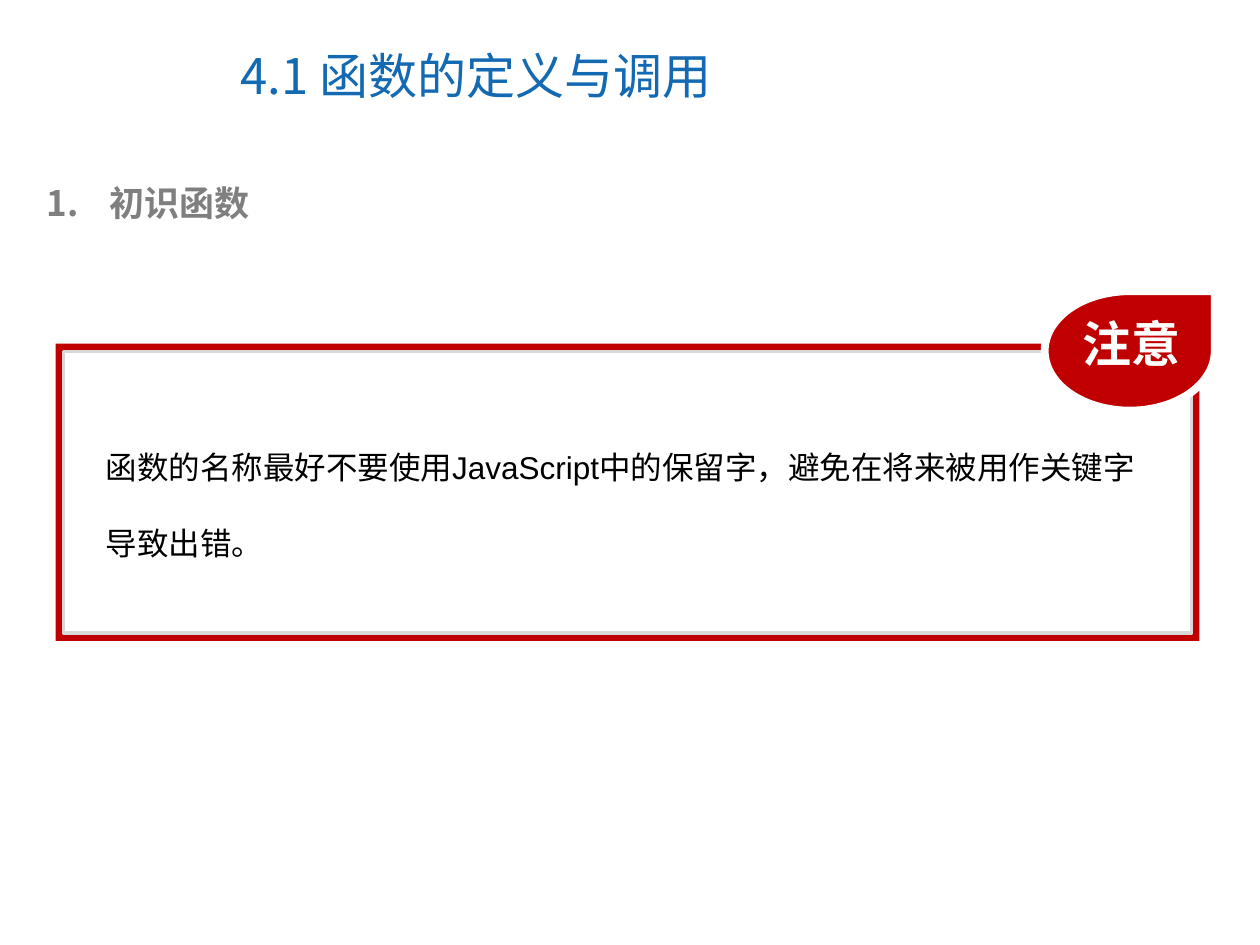
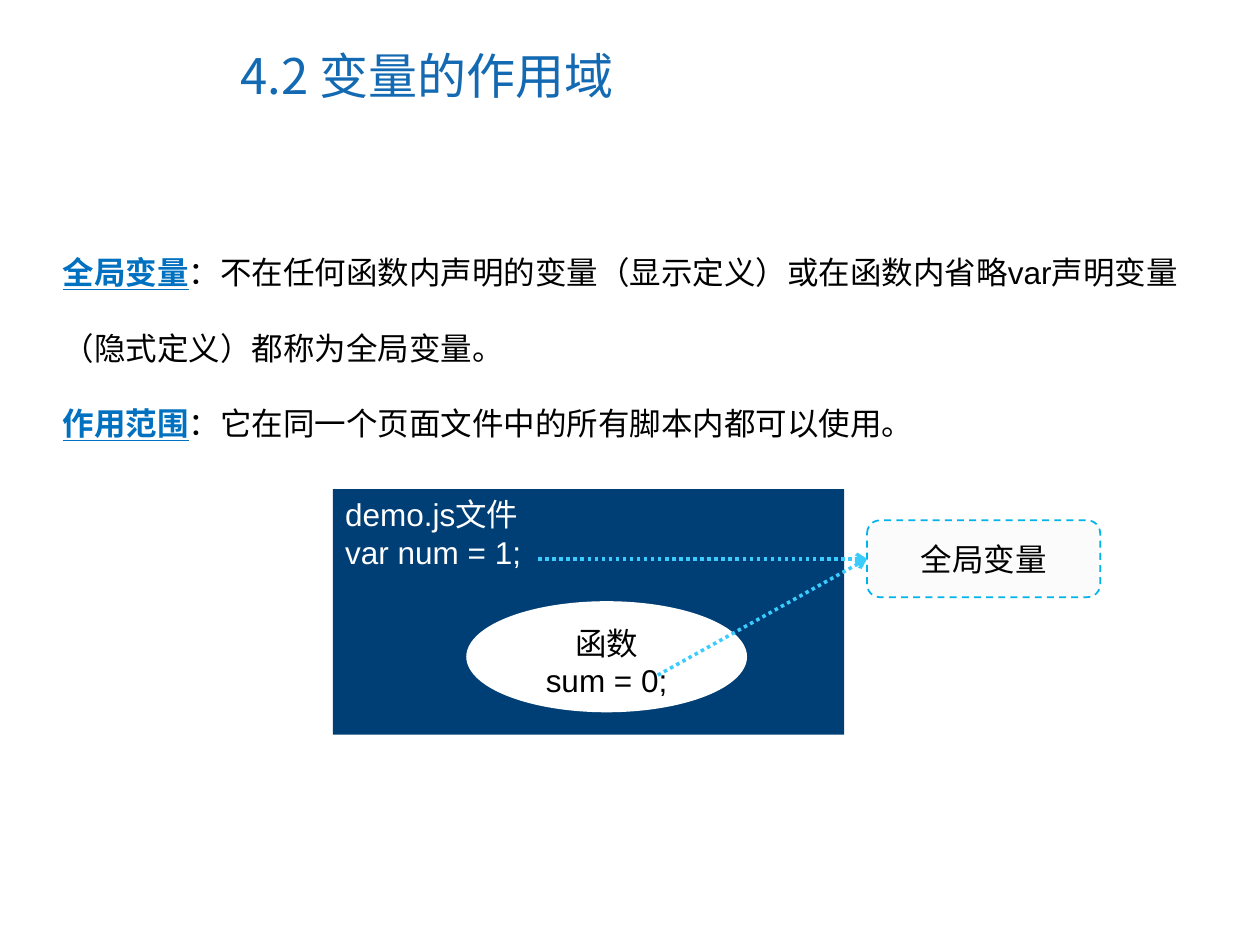
from dataclasses import dataclass
from typing import NamedTuple, Optional

from lxml.etree import SubElement
from pptx import Presentation
from pptx.dml.color import RGBColor
from pptx.enum.dml import MSO_LINE_DASH_STYLE as Dash
from pptx.enum.shapes import MSO_CONNECTOR_TYPE as Connector, MSO_SHAPE as Preset
from pptx.enum.text import MSO_ANCHOR as Anchor, MSO_AUTO_SIZE as AutoSize, PP_ALIGN as Align
from pptx.oxml.ns import qn
from pptx.util import Cm, Pt


@dataclass(frozen=True)
class Theme:
    title: str = "1369B2"
    heading: str = "7F7F7F"
    term: str = "0070C0"
    text: str = "000000"
    white: str = "FFFFFF"
    warning: str = "C00000"
    frame_line: str = "D9D9D9"
    file: str = "003F75"
    tag: str = "FBFBFB"
    tag_line: str = "00B4E9"
    arrow: str = "3BCCFF"
    title_size: int = 28
    heading_size: int = 20
    body_size: int = 18
    latin: str = "Arial"
    chinese: str = "Noto Sans CJK SC"


THEME = Theme()


class Area(NamedTuple):
    """A rectangle in centimetres."""
    left: float
    top: float
    width: float
    height: float

    def lengths(self) -> list:
        return [Cm(value) for value in self]

    def inset(self, gap: float) -> "Area":
        return Area(self.left + gap, self.top + gap, self.width - 2 * gap, self.height - 2 * gap)


class Style(NamedTuple):
    color: str = THEME.text
    size: int = THEME.body_size
    font: str = THEME.latin
    bold: bool = False
    align: Align = Align.LEFT
    spacing: float = 1.0
    numbered: bool = False


class Outline(NamedTuple):
    color: str
    width: float
    dash: Optional[Dash] = None


class Definition(NamedTuple):
    term: str
    meaning: str


@dataclass(frozen=True)
class Block:
    preset: Preset
    area: Area
    fill: str
    outline: Optional[Outline] = None
    lines: tuple = ()
    style: Style = Style()
    anchor: Anchor = Anchor.TOP


TITLE_AREA = Area(4.6, 0.43, 13.11, 2.16)
TITLE = Style(THEME.title, THEME.title_size, THEME.chinese)
HEADING = Style(THEME.heading, THEME.heading_size, THEME.chinese, bold=True, numbered=True)
BADGE = Style(THEME.white, THEME.title_size, THEME.chinese, bold=True)
BODY = Style(spacing=2.0)
CENTERED = Style(align=Align.CENTER)


def rgb(color: str) -> RGBColor:
    return RGBColor.from_string(color)


def add_number(para, color: str) -> None:
    props = para._p.get_or_add_pPr()
    indent = Cm(1.27)
    props.set("marL", str(indent))
    props.set("indent", str(-indent))
    SubElement(SubElement(props, qn("a:buClr")), qn("a:srgbClr"), val=color)
    SubElement(props, qn("a:buAutoNum"), type="arabicPeriod")


def format_paragraph(para, style: Style) -> None:
    para.alignment = style.align
    para.line_spacing = style.spacing
    if style.numbered:
        add_number(para, style.color)
    font = para.font
    font.name, font.size, font.bold = style.font, Pt(style.size), style.bold
    font.color.rgb = rgb(style.color)
    defaults = para._p.pPr.find(qn("a:defRPr"))
    SubElement(defaults, qn("a:ea"), typeface=THEME.chinese)


def add_definition(para, item: Definition) -> None:
    span = para.add_run()
    span.text = item.term
    span.font.bold = span.font.underline = True
    span.font.color.rgb = rgb(THEME.term)
    para.add_run().text = item.meaning


def write(frame, lines: tuple, style: Style) -> None:
    for index, line in enumerate(lines):
        para = frame.add_paragraph() if index else frame.paragraphs[0]
        format_paragraph(para, style)
        if isinstance(line, Definition):
            add_definition(para, line)
        else:
            para.add_run().text = line


def add_page(deck, title: str):
    page = deck.slides.add_slide(deck.slide_layouts[5])
    box = page.shapes.title
    box.left, box.top, box.width, box.height = TITLE_AREA.lengths()
    box.text_frame.auto_size = AutoSize.NONE
    box.text_frame.vertical_anchor = Anchor.MIDDLE
    write(box.text_frame, (title,), TITLE)
    return page


def add_text(page, area: Area, lines: tuple, style: Style) -> None:
    frame = page.shapes.add_textbox(*area.lengths()).text_frame
    frame.word_wrap = True
    frame.auto_size = AutoSize.SHAPE_TO_FIT_TEXT
    write(frame, lines, style)


def draw_outline(line, outline: Outline) -> None:
    line.color.rgb = rgb(outline.color)
    line.width = Pt(outline.width)
    if outline.dash is not None:
        line.dash_style = outline.dash


def add_block(page, block: Block) -> None:
    shape = page.shapes.add_shape(block.preset, *block.area.lengths())
    shape.shadow.inherit = False
    shape.fill.solid()
    shape.fill.fore_color.rgb = rgb(block.fill)
    if block.outline:
        draw_outline(shape.line, block.outline)
    else:
        shape.line.fill.background()
    shape.text_frame.vertical_anchor = block.anchor
    write(shape.text_frame, block.lines, block.style)


def add_arrow(page, start: tuple, end: tuple) -> None:
    arrow = page.shapes.add_connector(Connector.STRAIGHT, *(Cm(value) for value in start + end))
    draw_outline(arrow.line, Outline(THEME.arrow, 2, Dash.ROUND_DOT))
    SubElement(arrow.line._get_or_add_ln(), qn("a:tailEnd"), type="arrow")
    SubElement(arrow._element.spPr, qn("a:effectLst"))


def build_naming_note(deck) -> None:
    page = add_page(deck, "4.1 函数的定义与调用")
    add_text(page, Area(0.69, 3.53, 23.42, 1.12), ("初识函数",), HEADING)
    frame = Area(1.12, 6.93, 23.06, 5.99)
    for block in (
        Block(Preset.RECTANGLE, frame, THEME.warning),
        Block(Preset.RECTANGLE, frame.inset(0.16), THEME.white, Outline(THEME.frame_line, 2)),
        Block(Preset.TEAR, Area(21.06, 5.87, 3.43, 2.41), THEME.warning, Outline(THEME.white, 4.5)),
    ):
        add_block(page, block)
    add_text(page, Area(21.57, 6.2, 2.7, 1.45), ("注意",), BADGE)
    note = "函数的名称最好不要使用JavaScript中的保留字，避免在将来被用作关键字导致出错。"
    add_text(page, Area(1.88, 8.15, 21.69, 3.3), (note,), BODY)


def build_global_scope(deck) -> None:
    page = add_page(deck, "4.2 变量的作用域")
    definitions = (
        Definition("全局变量", "：不在任何函数内声明的变量（显示定义）或在函数内省略var声明变量（隐式定义）都称为全局变量。"),
        Definition("作用范围", "：它在同一个页面文件中的所有脚本内都可以使用。"),
    )
    add_text(page, Area(1.02, 4.22, 23.34, 4.83), definitions, BODY)
    tag = Area(17.48, 10.49, 4.7, 1.55)
    for block in (
        Block(Preset.RECTANGLE, Area(6.71, 9.86, 10.31, 4.95), THEME.file,
              lines=("demo.js文件", "var num = 1;"), style=Style(THEME.white)),
        Block(Preset.OVAL, Area(9.4, 12.12, 5.66, 2.24), THEME.white,
              lines=("函数", "sum = 0;"), style=CENTERED),
        Block(Preset.ROUNDED_RECTANGLE, tag, THEME.tag, Outline(THEME.tag_line, 1, Dash.DASH),
              ("全局变量",), CENTERED, Anchor.MIDDLE),
    ):
        add_block(page, block)
    target = (tag.left, tag.top + tag.height / 2)
    for start in ((10.85, target[1]), (13.26, 13.61)):
        add_arrow(page, start, target)


def main() -> None:
    deck = Presentation()
    deck.slide_width, deck.slide_height = Cm(25.4), Cm(19.05)
    build_naming_note(deck)
    build_global_scope(deck)
    deck.save("out.pptx")


if __name__ == "__main__":
    main()
